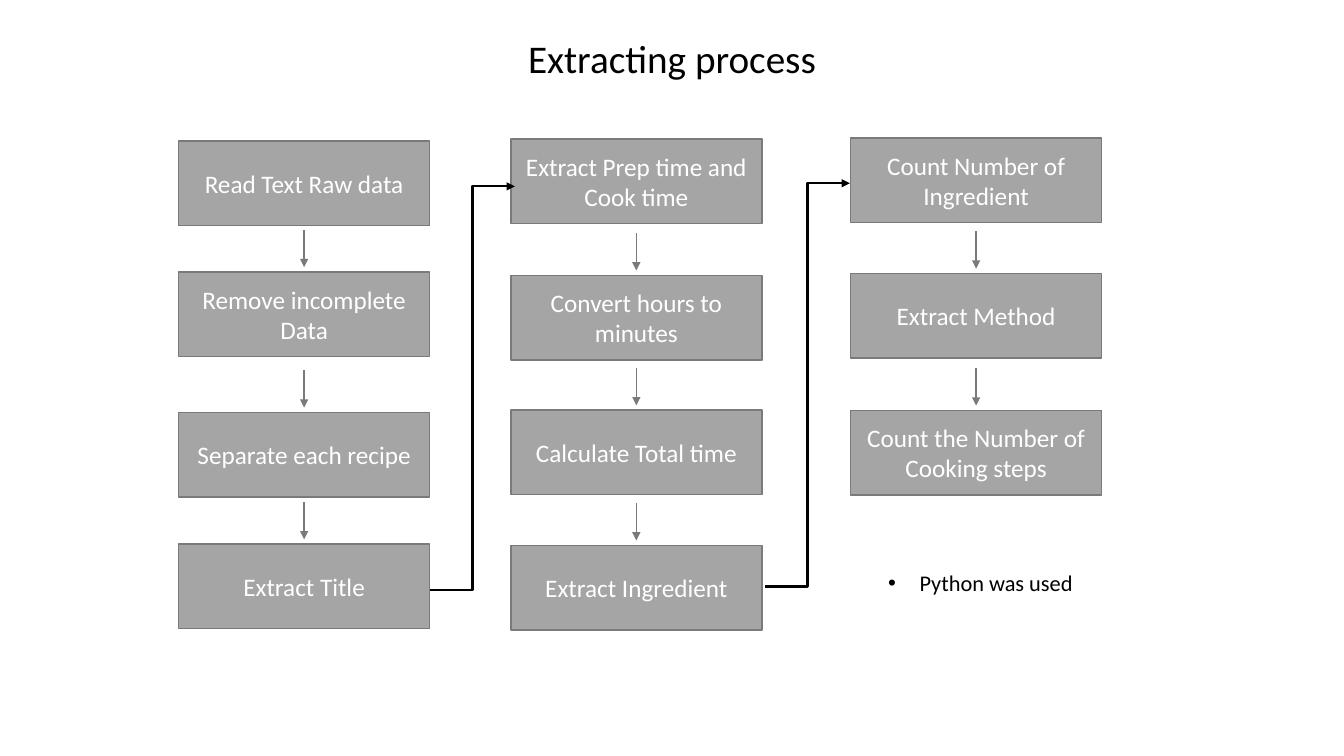
from dataclasses import dataclass

from lxml.etree import SubElement
from pptx import Presentation
from pptx.dml.color import RGBColor
from pptx.enum.shapes import MSO_CONNECTOR as Conn, MSO_SHAPE as Shape
from pptx.enum.text import MSO_ANCHOR as Anchor, MSO_AUTO_SIZE as AutoSize, PP_ALIGN as Align
from pptx.oxml.ns import qn
from pptx.util import Pt


@dataclass(frozen=True)
class Theme:
    """Colours, font and type sizes of the slide."""
    font: str = "Calibri"
    black: RGBColor = RGBColor(0, 0, 0)
    white: RGBColor = RGBColor(255, 255, 255)
    fill: RGBColor = RGBColor(0xA5, 0xA5, 0xA5)
    edge: RGBColor = RGBColor(0x7A, 0x7A, 0x7A)
    title: int = 28
    step: int = 18
    note: int = 16


THEME = Theme()
STEP_W, STEP_H = 179.3, 60.5
ARROW_LEAD, ARROW_LEN = 30, 26.6
ELBOW_W, ELBOW_H = 60.5, 288

COLUMNS = [
    (127.6, [(100.8, "Read Text Raw data"), (194.2, "Remove incomplete Data"),
             (294.6, "Separate each recipe"), (388.7, "Extract Title")]),
    (364.9, [(99.2, "Extract Prep time and Cook time"), (196.6, "Convert hours to minutes"),
             (293, "Calculate Total time"), (389.5, "Extract Ingredient")]),
    (607.6, [(98.5, "Count Number of Ingredient"), (195.3, "Extract Method"),
             (293.2, "Count the Number of Cooking steps")]),
]
ELBOW_STARTS = [(307.3, 421.2), (546.6, 419)]


def write(tf, text, size, color, align):
    """Put one formatted paragraph into a text frame and return it."""
    tf.text = text
    p = tf.paragraphs[0]
    p.alignment = align
    font = p.runs[0].font
    font.name, font.size, font.color.rgb = THEME.font, Pt(size), color
    return p


def place(sp, box):
    """Move a shape to a box of left, top, width and height."""
    sp.left, sp.top, sp.width, sp.height = map(Pt, box)


def add_title(sp, box, text):
    """Fill and place the title."""
    place(sp, box)
    tf = sp.text_frame
    tf.vertical_anchor = Anchor.MIDDLE
    write(tf, text, THEME.title, THEME.black, Align.CENTER).line_spacing = 0.9


def add_note(sp, box, text):
    """Fill and place the bulleted note."""
    place(sp, box)
    tf = sp.text_frame
    tf.word_wrap = False
    tf.auto_size = AutoSize.SHAPE_TO_FIT_TEXT
    tf.vertical_anchor = Anchor.TOP
    p = write(tf, text, THEME.note, THEME.black, Align.LEFT)
    p.space_before = Pt(0)
    pPr = p._p.get_or_add_pPr()
    pPr.set("marL", str(Pt(22.5)))
    pPr.set("indent", str(-Pt(22.5)))
    SubElement(pPr, qn("a:buFont")).set("typeface", "Arial")
    SubElement(pPr, qn("a:buChar")).set("char", "•")


def add_step(slide, box, text):
    """Draw one process step."""
    sp = slide.shapes.add_shape(Shape.RECTANGLE, *map(Pt, box))
    sp.shadow.inherit = False
    sp.fill.solid()
    sp.fill.fore_color.rgb = THEME.fill
    sp.line.color.rgb = THEME.edge
    sp.line.width = Pt(1)
    sp.text_frame.vertical_anchor = Anchor.MIDDLE
    write(sp.text_frame, text, THEME.step, THEME.white, Align.CENTER)


def add_arrow(slide, kind, start, end, color, width):
    """Draw a connector with an arrowhead at its end."""
    cx = slide.shapes.add_connector(kind, *map(Pt, (*start, *end)))
    cx.line.color.rgb = color
    cx.line.width = Pt(width)
    SubElement(cx.line._get_or_add_ln(), qn("a:tailEnd")).set("type", "triangle")
    SubElement(cx._element.spPr, qn("a:effectLst"))


def add_column(slide, left, steps):
    """Draw a column of steps with an arrow leading into each later one."""
    mid = left + STEP_W / 2
    for i, (top, text) in enumerate(steps):
        add_step(slide, (left, top, STEP_W, STEP_H), text)
        if i:
            y = top - ARROW_LEAD
            add_arrow(slide, Conn.STRAIGHT, (mid, y), (mid, y + ARROW_LEN), THEME.edge, 1)


def main():
    """Build and save the slide."""
    prs = Presentation()
    prs.slide_width, prs.slide_height = Pt(960), Pt(540)
    slide = prs.slides.add_slide(prs.slide_layouts[1])
    add_title(slide.shapes.title, (66, 22.3, 828, 42.5), "Extracting process")
    for left, steps in COLUMNS:
        add_column(slide, left, steps)
    for x, y in ELBOW_STARTS:
        add_arrow(slide, Conn.ELBOW, (x, y), (x + ELBOW_W, y - ELBOW_H), THEME.black, 1.5)
    add_note(slide.placeholders[1], (627.1, 403.2, 148.3, 26.6), "Python was used")
    prs.save("out.pptx")


if __name__ == "__main__":
    main()
